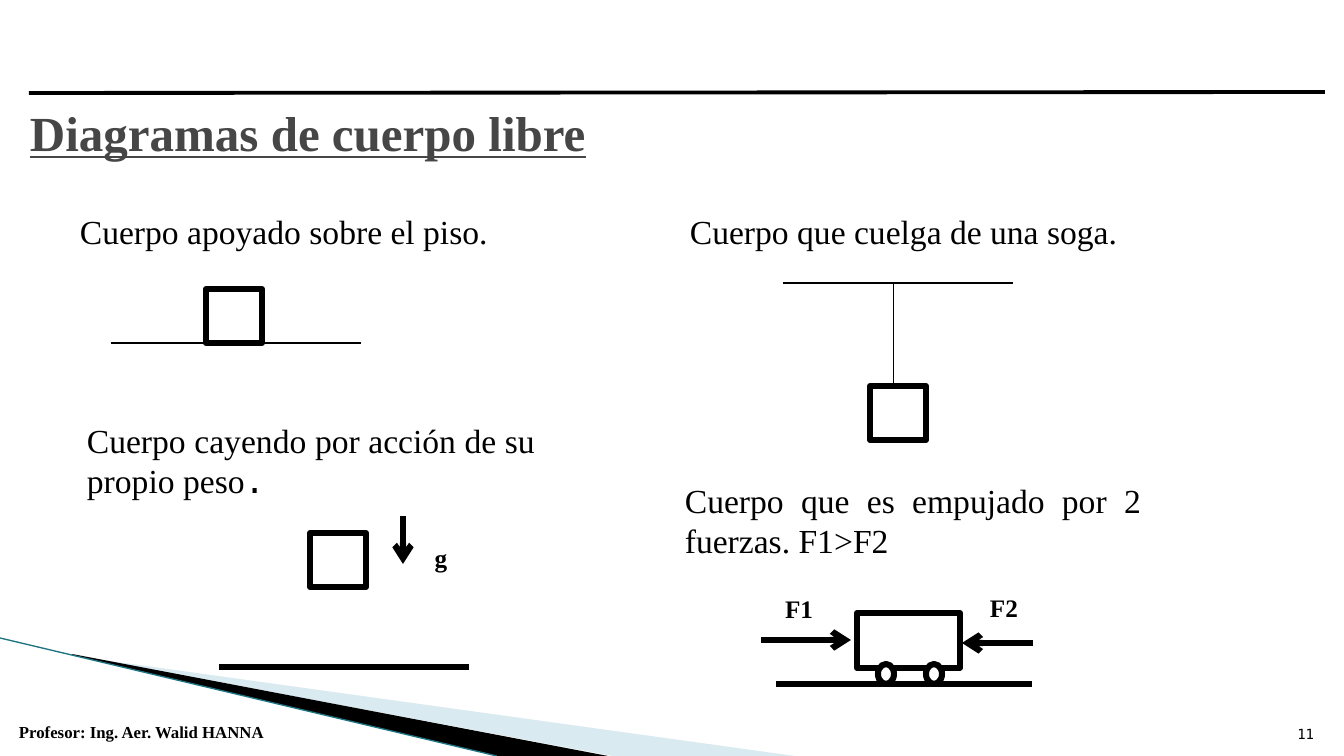
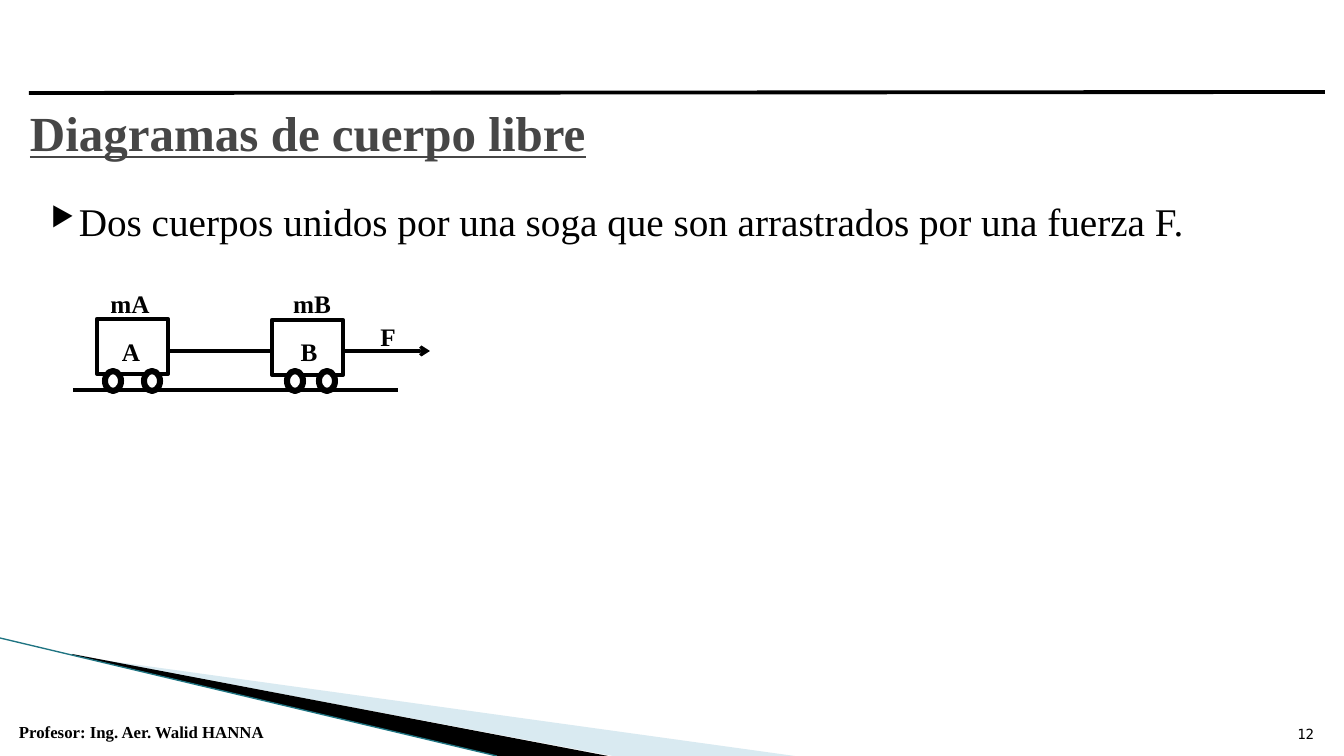
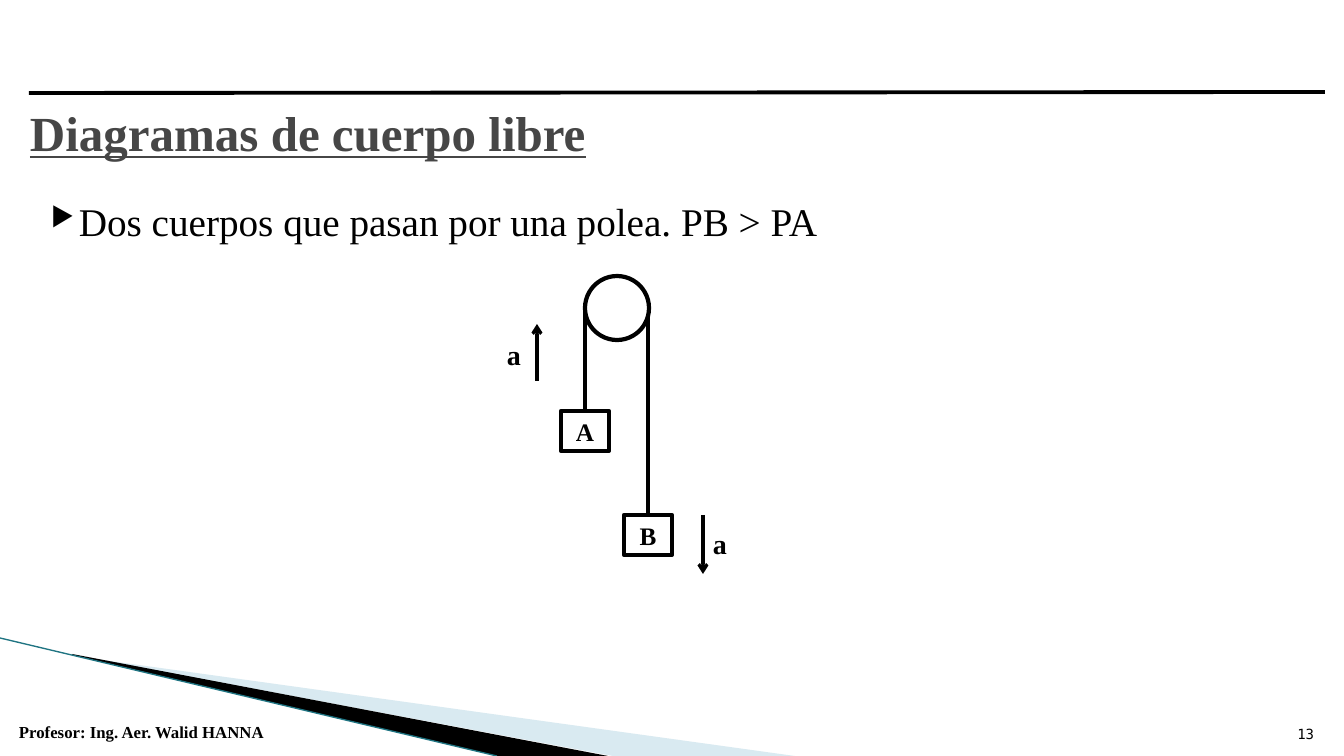
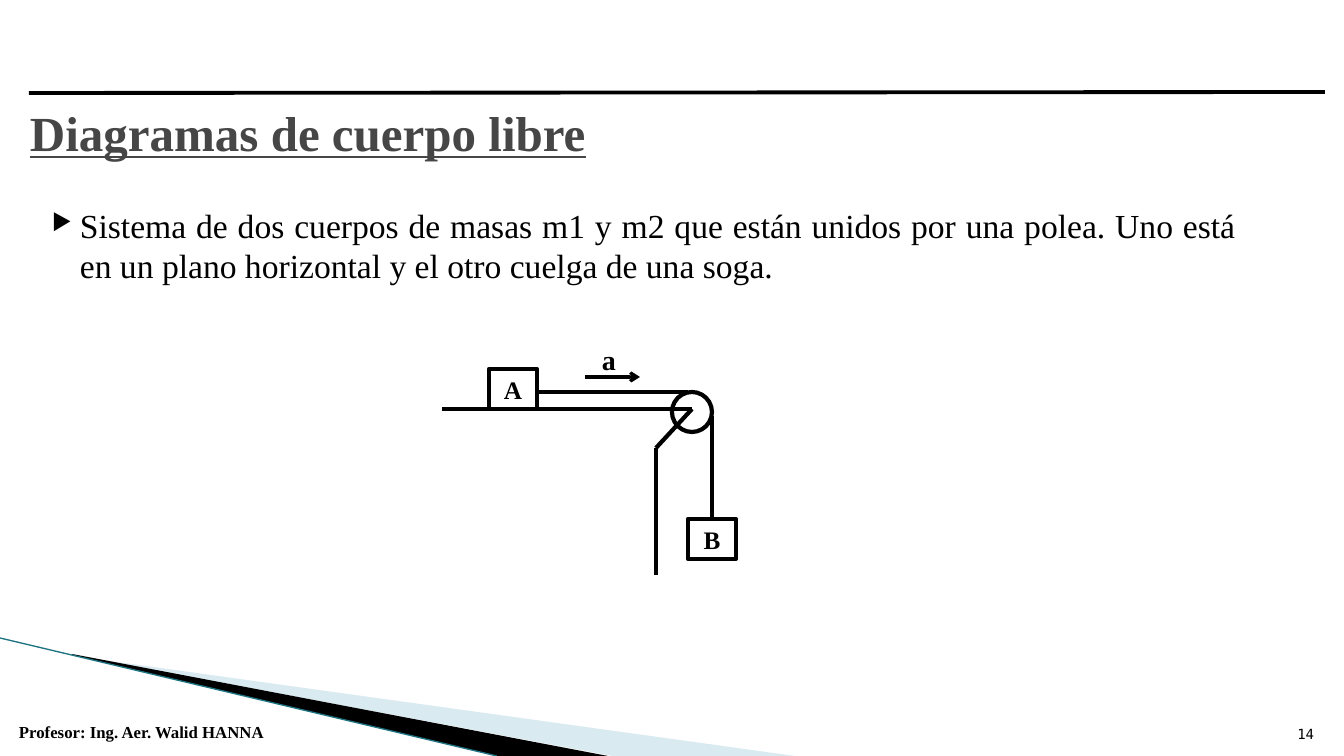
from lxml import etree
from pptx import Presentation
from pptx.dml.color import RGBColor
from pptx.enum import shapes, text
from pptx.oxml.ns import qn
from pptx.util import Emu, Pt

SCALE = 914400 / 100.8
WIDTH, HEIGHT = 1344, 756
SERIF, MONO = "Times New Roman", "DejaVu Sans Mono"
COLORS = {"ink": "000000", "title": "464646", "paper": "FFFFFF",
          "pale": "A0CBDC", "teal": "1F7482"}
LEFT, CENTER, RIGHT, JUSTIFY = (text.PP_ALIGN.LEFT, text.PP_ALIGN.CENTER,
                                text.PP_ALIGN.RIGHT, text.PP_ALIGN.JUSTIFY)
TOP, MIDDLE, BOTTOM = (text.MSO_ANCHOR.TOP, text.MSO_ANCHOR.MIDDLE,
                       text.MSO_ANCHOR.BOTTOM)

TITLE = "Diagramas de cuerpo libre"
AUTHOR = "Profesor: Ing. Aer. Walid HANNA"
FIRST_NUMBER = 11
PALE_WEDGE = [(74, 656), (795, 756), (613, 756), (74, 655)]
DARK_WEDGE = [(72, 654), (608, 756), (497, 756), (73, 655)]
THICK, MEDIUM, ROPE, THIN = 4.33, 3, 2.25, 0.75

SLIDES = [
    {"bodies": [
        (70, 206, 594, 24, False, ["Cuerpo apoyado sobre el piso."]),
        (680, 206, 476, 24, False, ["Cuerpo que cuelga de una soga."]),
        (77, 415, 468, 24, False,
         ["Cuerpo cayendo por acción de su propio peso", "."]),
        (675, 475, 476, 24, False,
         ["Cuerpo que es empujado por 2 fuerzas. F1>F2"])],
     "drawing": [
        ("block", 870, 386, 56, 54, THICK),
        ("line", 783, 283, 1013, 283, THIN),
        ("line", 894, 283, 894, 386, THIN),
        ("line", 111, 343, 361, 343, THIN),
        ("block", 206, 289, 56, 54, THICK),
        ("block", 310, 533, 56, 54, THICK),
        ("arrow", 403, 516, 403, 564, THICK),
        ("label", 441, 557, "g", 18),
        ("line", 219, 667, 469, 667, THICK),
        ("block", 857, 613, 103, 55, THICK),
        ("line", 776, 684, 1032, 684, THICK),
        ("wheels", 878, 926, 664),
        ("arrow", 761, 640, 851, 640, THICK),
        ("arrow", 1033, 643, 962, 643, THICK),
        ("label", 799, 608, "F1", 18),
        ("label", 1004, 607, "F2", 18)]},
    {"bodies": [
        (29, 192, 1288, 28, True,
         ["Dos cuerpos unidos por una soga que son arrastrados por una fuerza F."])],
     "drawing": [
        ("block", 97, 319, 71, 55, MEDIUM),
        ("line", 73, 390, 398, 390, MEDIUM),
        ("wheels", 105, 144, 371),
        ("arrow", 343, 351, 430, 351, ROPE),
        ("block", 272, 320, 71, 55, MEDIUM),
        ("wheels", 287, 319, 371),
        ("line", 168, 351, 272, 351, ROPE),
        ("label", 131, 351, "A", 18),
        ("label", 309, 351, "B", 18),
        ("label", 130, 303, "mA", 18),
        ("label", 312, 303, "mB", 18),
        ("label", 388, 336, "F", 18)]},
    {"bodies": [
        (29, 192, 1288, 28, True,
         ["Dos cuerpos que pasan por una polea. PB > PA"])],
     "drawing": [
        ("block", 561, 411, 48, 40, MEDIUM, "A"),
        ("block", 624, 515, 48, 40, MEDIUM, "B"),
        ("line", 585, 308, 585, 411, MEDIUM),
        ("line", 648, 317, 648, 515, MEDIUM),
        ("circle", 585, 276, 64, 64, MEDIUM),
        ("arrow", 703, 515, 703, 574, ROPE),
        ("label", 720, 543, "a", 20),
        ("label", 514, 354, "a", 20),
        ("arrow", 537, 381, 537, 324, ROPE)]},
    {"bodies": [
        (30, 200, 1216, 24, True,
         ["Sistema de dos cuerpos de masas m1 y m2 que están unidos por una polea. "
          "Uno está en un plano horizontal y el otro cuelga de una soga."])],
     "drawing": [
        ("label", 609, 359, "a", 20),
        ("block", 688, 519, 48, 40, MEDIUM, "B"),
        ("block", 489, 369, 48, 40, MEDIUM, "A"),
        ("line", 688, 392, 537, 392, MEDIUM),
        ("line", 712, 416, 712, 519, MEDIUM),
        ("circle", 672, 392, 40, 40, MEDIUM),
        ("arrow", 585, 377, 640, 377, ROPE),
        ("line", 692, 409, 442, 409, MEDIUM),
        ("line", 692, 409, 656, 448, MEDIUM),
        ("line", 656, 448, 656, 575, MEDIUM)]},
]


def px(value):
    return Emu(round(value * SCALE))


def color(name):
    return RGBColor.from_string(COLORS[name])


def style_font(font, size, name=SERIF, ink="ink", bold=False):
    font.size, font.name, font.bold = Pt(size), name, bold
    font.color.rgb = color(ink)


def add_bullet(para):
    props = para._p.get_or_add_pPr()
    props.set("marL", str(px(40)))
    props.set("indent", str(px(-28)))
    etree.SubElement(props, qn("a:buSzPct"), val="68000")
    etree.SubElement(props, qn("a:buChar"), char="▶")


def add_text(page, place, spans, size, align, anchor, bullet=False, inset=True, **style):
    box = page.shapes.add_textbox(*map(px, place))
    frame = box.text_frame
    frame.word_wrap, frame.vertical_anchor = True, anchor
    if not inset:
        frame.margin_left = frame.margin_right = 0
    para = frame.paragraphs[0]
    para.alignment = align
    if bullet:
        add_bullet(para)
    style_font(para.font, size, **style)
    for content in spans:
        span = para.add_run()
        span.text = content
        if content == ".":
            span.font.name = MONO
    return para


def add_outline(page, preset, x, y, width, height, weight):
    shape = page.shapes.add_shape(preset, *map(px, (x, y, width, height)))
    shape.shadow.inherit = False
    shape.fill.solid()
    shape.fill.fore_color.rgb = color("paper")
    shape.line.color.rgb = color("ink")
    shape.line.width = Pt(weight)
    return shape


def add_block(page, x, y, width, height, weight, letter=""):
    block = add_outline(page, shapes.MSO_SHAPE.RECTANGLE, x, y, width, height, weight)
    if letter:
        frame = block.text_frame
        frame.vertical_anchor = MIDDLE
        para = frame.paragraphs[0]
        para.text, para.alignment = letter, CENTER
        style_font(para.font, 18, bold=True)


def add_circle(page, *geometry):
    add_outline(page, shapes.MSO_SHAPE.OVAL, *geometry)


def add_wheels(page, left, right, y):
    for x in (left, right):
        add_circle(page, x, y, 16, 20, THICK)


def find_joint(page, point):
    for shape in page.shapes:
        if (shape.shape_type == shapes.MSO_SHAPE_TYPE.AUTO_SHAPE
                and shape.auto_shape_type == shapes.MSO_SHAPE.RECTANGLE):
            x, y = shape.left, shape.top
            width, height = shape.width, shape.height
            sides = [(x + width / 2, y), (x, y + height / 2),
                     (x + width / 2, y + height), (x + width, y + height / 2)]
            for site, side in enumerate(sides):
                if all(abs(px(a) - b) < SCALE / 4 for a, b in zip(point, side)):
                    return shape, site
    return None


def add_line(page, x1, y1, x2, y2, weight, ink="ink"):
    line = page.shapes.add_connector(
        shapes.MSO_CONNECTOR.STRAIGHT, *map(px, (x1, y1, x2, y2)))
    line.line.color.rgb = color(ink)
    line.line.width = Pt(weight)
    etree.SubElement(line._element.spPr, qn("a:effectLst"))
    for connect, point in ((line.begin_connect, (x1, y1)), (line.end_connect, (x2, y2))):
        joint = find_joint(page, point)
        if joint:
            connect(*joint)
    return line


def add_arrow(page, *geometry):
    line = add_line(page, *geometry)
    etree.SubElement(line.line._get_or_add_ln(), qn("a:tailEnd"), type="arrow")


def add_label(page, x, y, content, size):
    add_text(page, (x - 30, y - 20, 60, 40), [content], size, CENTER, MIDDLE,
             inset=False, bold=True)


def add_wedge(page, points, ink, opacity=100):
    builder = page.shapes.build_freeform(*points[0], scale=SCALE)
    builder.add_line_segments(points[1:], close=True)
    wedge = builder.convert_to_shape()
    wedge.shadow.inherit = False
    wedge.line.fill.background()
    wedge.fill.solid()
    wedge.fill.fore_color.rgb = color(ink)
    tint = wedge._element.spPr.find(".//" + qn("a:srgbClr"))
    etree.SubElement(tint, qn("a:alpha"), val=str(opacity * 1000))


def add_frame(page, number):
    add_wedge(page, PALE_WEDGE, "pale", 40)
    add_wedge(page, DARK_WEDGE, "ink")
    add_line(page, 0, 638, 497, 756, 0.95, "teal")
    add_text(page, (8, 707, 266, 40), [AUTHOR], 12, RIGHT, BOTTOM, bold=True)
    add_text(page, (1271, 707, 53, 40), [str(number)], 10, RIGHT, BOTTOM, name=MONO)
    title = add_text(page, (20, 111, 1295, 42), [TITLE], 35, LEFT, MIDDLE,
                     ink="title", bold=True)
    title.font.underline = True
    add_line(page, 29, 93, 1325, 92, 2.75)


DRAW = {"block": add_block, "circle": add_circle, "wheels": add_wheels,
        "line": add_line, "arrow": add_arrow, "label": add_label}


def main():
    deck = Presentation()
    deck.slide_width, deck.slide_height = px(WIDTH), px(HEIGHT)
    for number, content in enumerate(SLIDES, FIRST_NUMBER):
        page = deck.slides.add_slide(deck.slide_layouts[6])
        add_frame(page, number)
        for x, y, width, size, bullet, spans in content["bodies"]:
            add_text(page, (x, y, width, 92), spans, size, JUSTIFY, TOP, bullet)
        for kind, *geometry in content["drawing"]:
            DRAW[kind](page, *geometry)
    deck.save("out.pptx")


if __name__ == "__main__":
    main()
